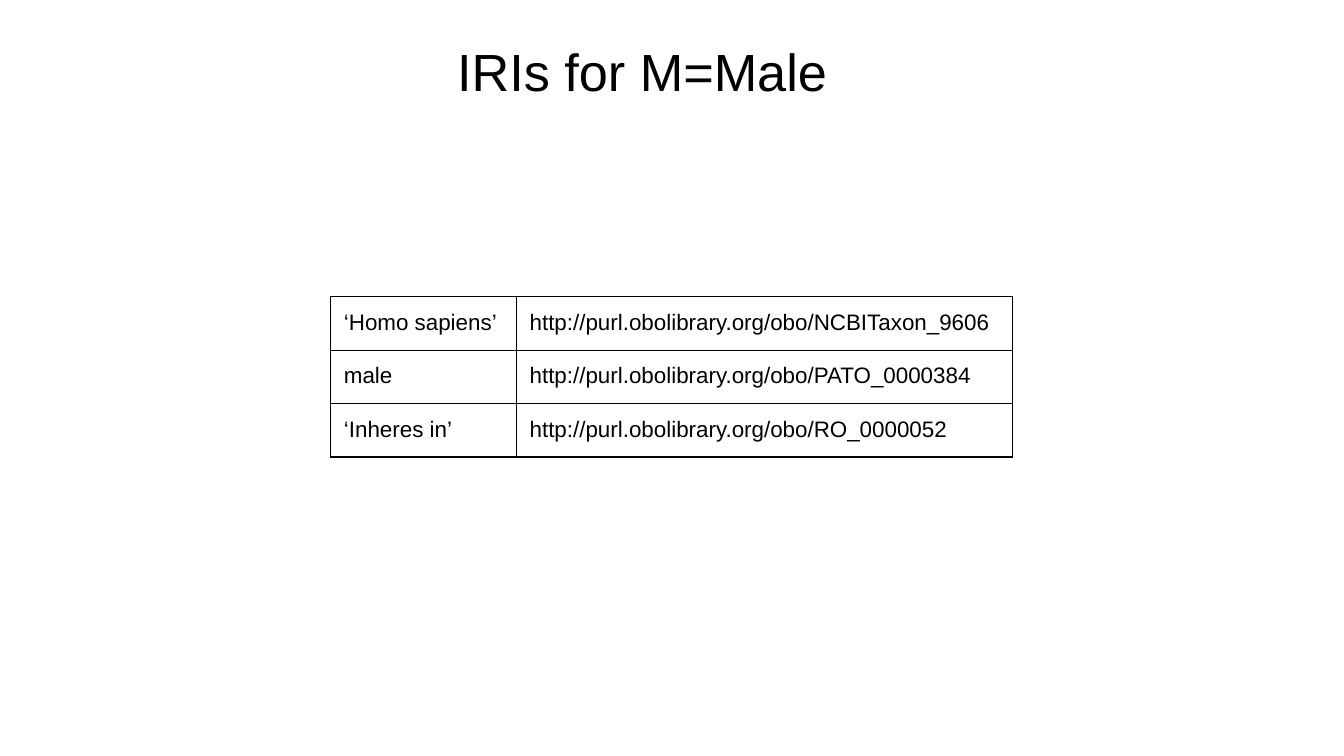
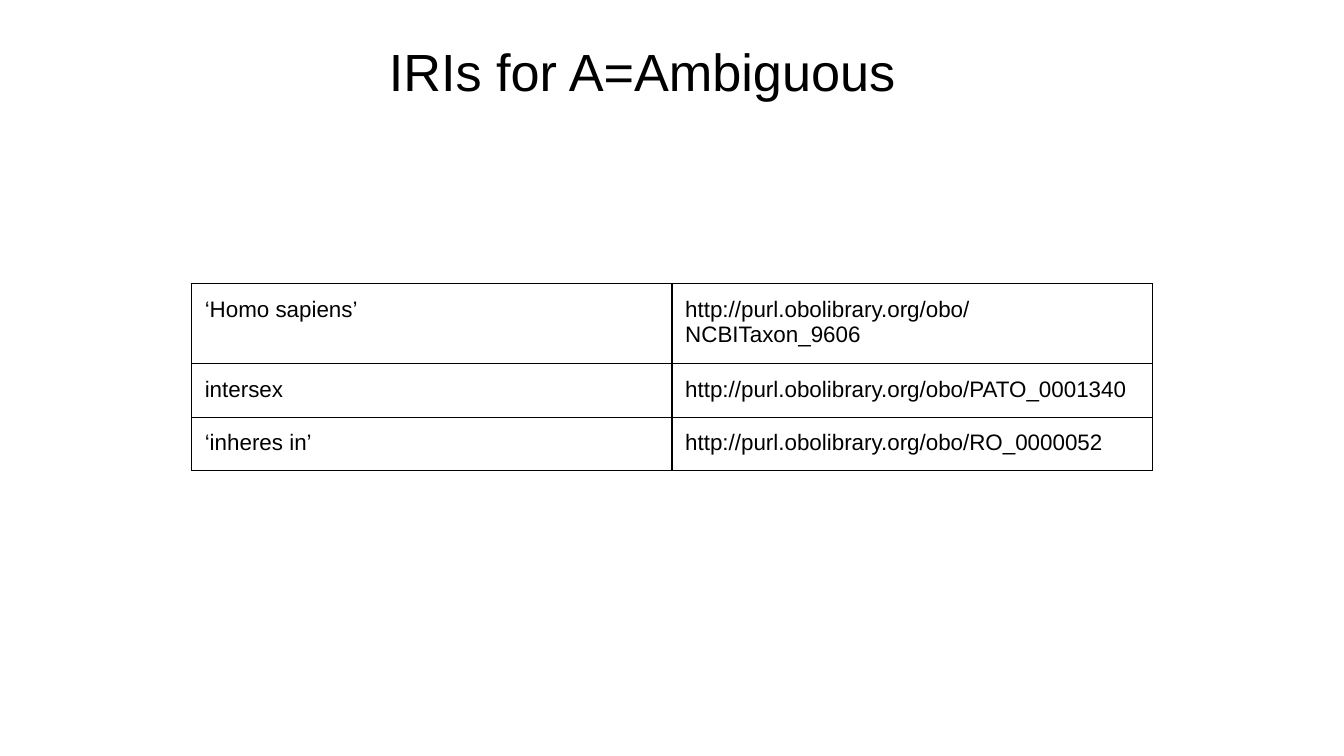
from lxml import etree
from pptx import Presentation
from pptx.dml.color import RGBColor
from pptx.enum.text import MSO_ANCHOR as Anchor, PP_ALIGN as Align
from pptx.oxml.ns import qn
from pptx.util import Cm, Pt

# Shared style
FONT = "Arial"
BLACK = "000000"
WHITE = "FFFFFF"
INSET = Cm(0.25)
ROW_HEIGHT = 0.98
TALL_ROW_HEIGHT = 1.46
BASE_ADDRESS = "http://purl.obolibrary.org/obo/"


def color(hex_string):
    return RGBColor.from_string(hex_string)


def format_text(text_frame, size, alignment):
    for paragraph in text_frame.paragraphs:
        paragraph.alignment = alignment
        for run in paragraph.runs:
            run.font.name = FONT
            run.font.size = Pt(size)
            run.font.color.rgb = color(BLACK)


# Title, table left and top, column widths, row heights, rows (lengths in cm)
slides = [
    ("IRIs for M=Male", 6.25, 5.61, [3.51, 9.37], [ROW_HEIGHT] * 3, [
        ("‘Homo sapiens’", "NCBITaxon_9606"),
        ("male", "PATO_0000384"),
        ("‘Inheres in’", "RO_0000052"),
    ]),
    ("IRIs for A=Ambiguous", 3.62, 5.36, [9.08, 9.08],
     [TALL_ROW_HEIGHT, ROW_HEIGHT, ROW_HEIGHT], [
        ("‘Homo sapiens’", "NCBITaxon_9606"),
        ("intersex", "PATO_0001340"),
        ("‘inheres in’", "RO_0000052"),
    ]),
]

presentation = Presentation()
presentation.slide_width = Cm(25.4)
presentation.slide_height = Cm(14.29)

for title, left, top, column_widths, row_heights, rows in slides:
    slide = presentation.slides.add_slide(presentation.slide_layouts[6])
    slide.background.fill.solid()
    slide.background.fill.fore_color.rgb = color(WHITE)

    # Title
    title_box = slide.shapes.add_textbox(Cm(0.3), Cm(0.36), Cm(23.67), Cm(1.6))
    text_frame = title_box.text_frame
    text_frame.word_wrap = True
    text_frame.vertical_anchor = Anchor.TOP
    text_frame.margin_left = text_frame.margin_right = INSET
    text_frame.margin_top = Cm(0.38)
    text_frame.margin_bottom = 0
    text_frame.text = title
    format_text(text_frame, 28, Align.CENTER)

    # Table of terms and their addresses
    table = slide.shapes.add_table(
        len(rows), len(column_widths), Cm(left), Cm(top),
        Cm(sum(column_widths)), Cm(sum(row_heights))).table
    table.first_row = False
    table.horz_banding = False
    for column, width in zip(table.columns, column_widths):
        column.width = Cm(width)
    for row, height, (term, identifier) in zip(table.rows, row_heights, rows):
        row.height = Cm(height)
        for cell, text in zip(row.cells, (term, BASE_ADDRESS + identifier)):
            cell.text_frame.text = text
            format_text(cell.text_frame, 12, Align.LEFT)
            cell.vertical_anchor = Anchor.TOP
            cell.margin_left = cell.margin_right = INSET
            cell.margin_top = cell.margin_bottom = INSET

            # Borders come before the fill in the cell properties
            properties = cell._tc.get_or_add_tcPr()
            for side in ("a:lnL", "a:lnR", "a:lnT", "a:lnB"):
                line = etree.SubElement(properties, qn(side), w=str(Pt(0.75)))
                fill = etree.SubElement(line, qn("a:solidFill"))
                etree.SubElement(fill, qn("a:srgbClr"), val=BLACK)
            cell.fill.background()

presentation.save("out.pptx")
